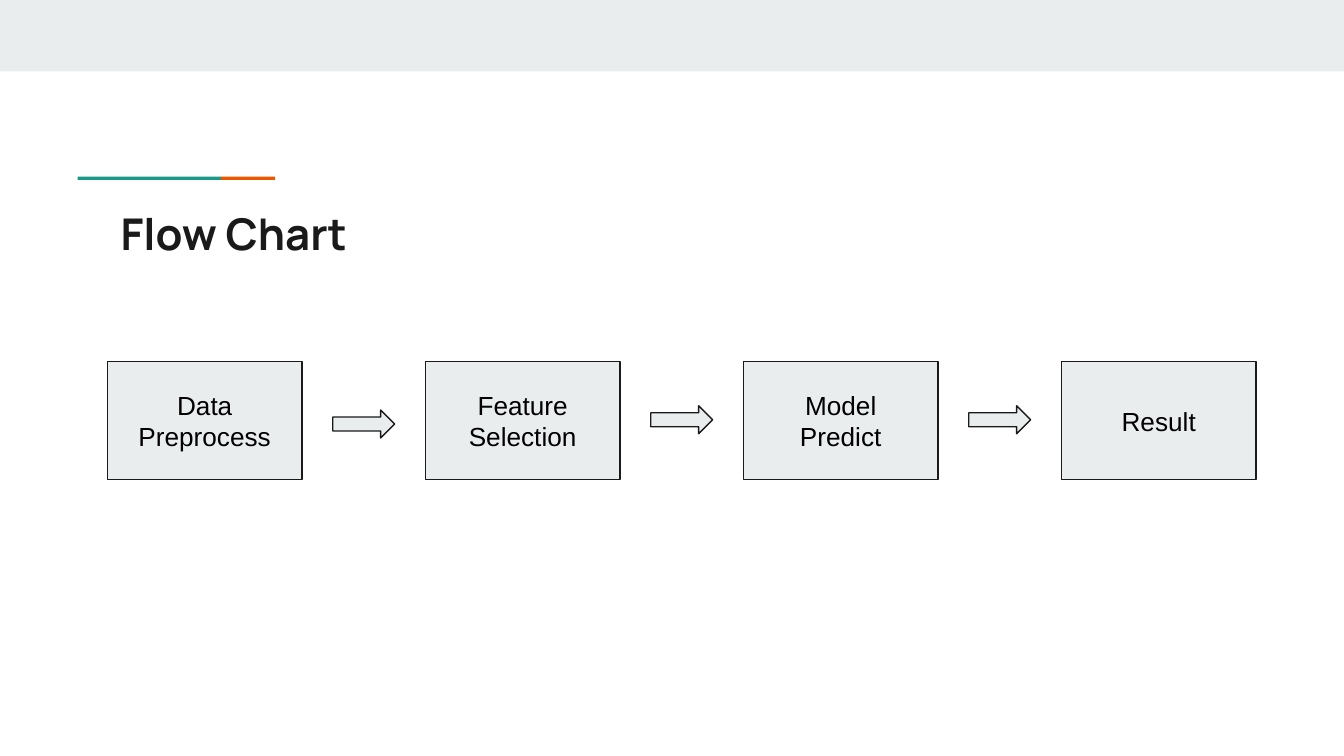
from pptx import Presentation
from pptx.dml.color import RGBColor
from pptx.enum.shapes import MSO_SHAPE
from pptx.enum.text import MSO_ANCHOR, PP_ALIGN
from pptx.util import Cm, Pt

RECT, ARROW = MSO_SHAPE.RECTANGLE, MSO_SHAPE.RIGHT_ARROW
TOP, MIDDLE = MSO_ANCHOR.TOP, MSO_ANCHOR.MIDDLE
LEFT, CENTER = PP_ALIGN.LEFT, PP_ALIGN.CENTER

PALE = RGBColor(0xE9, 0xED, 0xEE)
INK = RGBColor(0x1A, 0x1A, 0x1A)
BLACK = RGBColor(0, 0, 0)
GREEN = RGBColor(0x1A, 0x99, 0x88)
ORANGE = RGBColor(0xEB, 0x56, 0x00)

# Content
TITLE = "Flow Chart"
STEPS = [["Data Preprocess"], ["Feature", "Selection"], ["Model", "Predict"], ["Result"]]
ARROW_TOPS = [7.75, 7.67, 7.67]
TITLE_FONT = {"name": "Manrope", "size": Pt(23.4), "bold": True}
STEP_FONT = {"name": "Arial", "size": Pt(14)}

# Layout in centimetres
SLIDE_W, SLIDE_H = 25.4, 14.29
MARGIN, PITCH = 2.03, 6.01
BOX_TOP, BOX_W, BOX_H = 6.83, 3.68, 2.24
ARROW_W, ARROW_H = 1.17, 0.53
ARROW_GAP = (PITCH - BOX_W - ARROW_W) / 2

prs = Presentation()
prs.slide_width, prs.slide_height = Cm(SLIDE_W), Cm(SLIDE_H)
s = prs.slides.add_slide(prs.slide_layouts[6])


def add_shape(kind, x, y, w, h, fill, outlined=False):
    sp = s.shapes.add_shape(kind, Cm(x), Cm(y), Cm(w), Cm(h))
    sp.shadow.inherit = False
    sp.fill.solid()
    sp.fill.fore_color.rgb = fill
    if outlined:
        sp.line.color.rgb = INK
        sp.line.width = Pt(0.75)
    else:
        sp.line.fill.background()
    return sp


def write(sp, lines, font, color, align, anchor):
    tf = sp.text_frame
    tf.word_wrap = True
    tf.vertical_anchor = anchor
    for side in ("left", "right", "top", "bottom"):
        setattr(tf, f"margin_{side}", Cm(0.25))
    for i, line in enumerate(lines):
        p = tf.paragraphs[0] if i == 0 else tf.add_paragraph()
        p.alignment = align
        r = p.add_run()
        r.text = line
        r.font.color.rgb = color
        for key, value in font.items():
            setattr(r.font, key, value)


# Header band and two-colour accent rule
add_shape(RECT, 0, 0, SLIDE_W, 1.35, PALE)
add_shape(RECT, 1.47, 3.34, 2.71, 0.06, GREEN)
add_shape(RECT, 4.18, 3.34, 1.02, 0.06, ORANGE)

# Title
title = s.shapes.add_textbox(Cm(MARGIN), Cm(3.66), Cm(21.36), Cm(1.5))
write(title, [TITLE], TITLE_FONT, INK, LEFT, TOP)

# Step boxes
for i, lines in enumerate(STEPS):
    box = add_shape(RECT, MARGIN + i * PITCH, BOX_TOP, BOX_W, BOX_H, PALE, True)
    write(box, lines, STEP_FONT, BLACK, CENTER, MIDDLE)

# Arrows centred in the gaps between boxes
for i, top in enumerate(ARROW_TOPS):
    x = MARGIN + i * PITCH + BOX_W + ARROW_GAP
    add_shape(ARROW, x, top, ARROW_W, ARROW_H, PALE, True)

prs.save("out.pptx")
